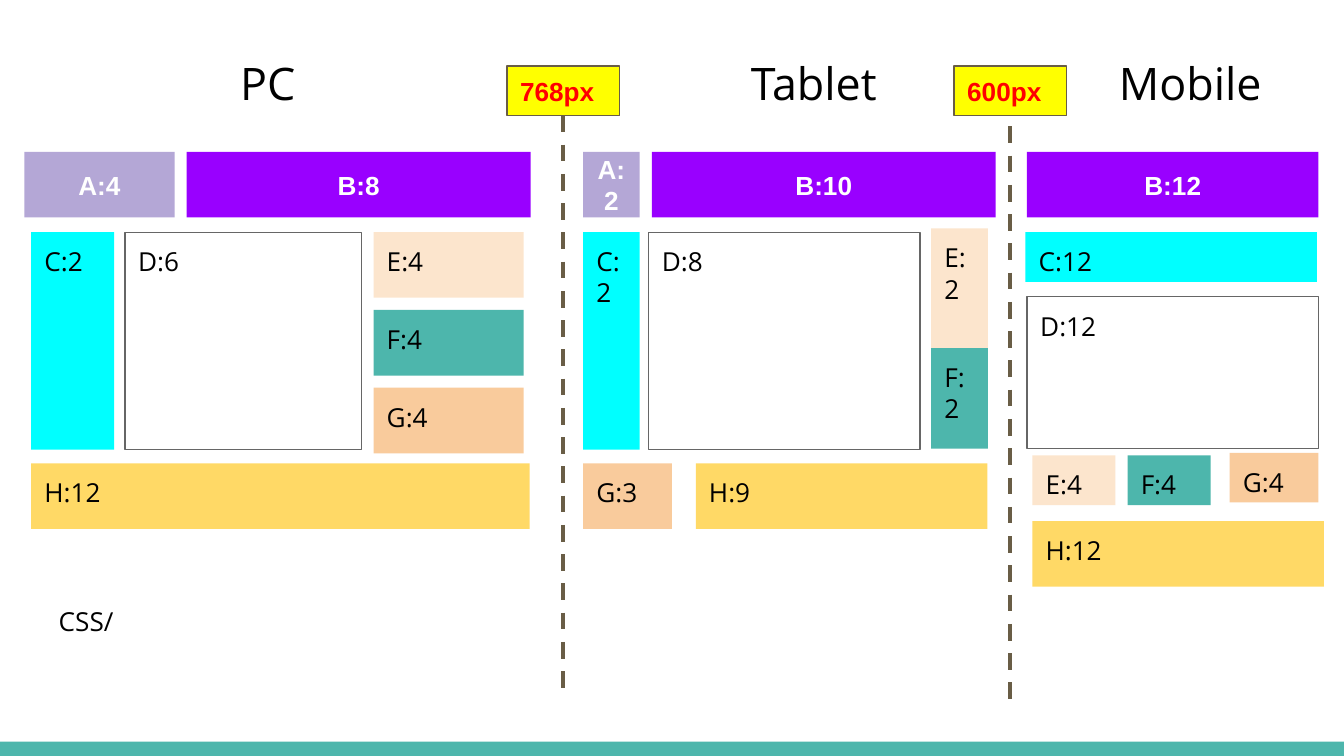
from lxml.etree import SubElement
from pptx import Presentation
from pptx.dml.color import RGBColor
from pptx.enum.dml import MSO_LINE
from pptx.enum.shapes import MSO_CONNECTOR, MSO_SHAPE
from pptx.enum.text import MSO_ANCHOR, PP_ALIGN
from pptx.oxml.ns import qn
from pptx.util import Cm, Pt

INSET = 0.25
ROW = 1.24  # height of a standard grid row
HEADING_HEIGHT = 1.6
HEADER_TOP, MAIN_TOP, FOOTER_TOP = 2.06, 3.58, 7.95  # below the region top
MAIN_HEIGHT = 4.11
SIDE_STEP = 1.47
BLOCK_FILLS = {
    "A": "B4A7D6", "B": "9900FF", "C": "00FFFF", "D": None,
    "E": "FCE5CD", "F": "4DB6AC", "G": "F9CB9C", "H": "FFD966",
}

# Each block: label, left, top, width, height in cm, relative to its region
PC_BLOCKS = [
    ("A:4", 0, HEADER_TOP, 2.84, ROW),
    ("B:8", 3.07, HEADER_TOP, 6.5, ROW),
    ("C:2", 0.13, MAIN_TOP, 1.57, MAIN_HEIGHT),
    ("D:6", 1.9, MAIN_TOP, 4.47, MAIN_HEIGHT),
    *[(label, 6.6, MAIN_TOP + i * SIDE_STEP, 2.84, ROW)
      for i, label in enumerate(("E:4", "F:4", "G:4"))],
    ("H:12", 0.13, FOOTER_TOP, 9.42, ROW),
]
TABLET_BLOCKS = [
    ("A:2", 0, HEADER_TOP, 1.07, ROW),
    ("B:10", 1.3, HEADER_TOP, 6.5, ROW),
    ("C:2", 0, MAIN_TOP, 1.07, MAIN_HEIGHT),
    ("D:8", 1.24, MAIN_TOP, 5.13, MAIN_HEIGHT),
    ("E:2", 6.58, 3.51, 1.07, 2.26),
    ("F:2", 6.58, 5.77, 1.07, 1.9),
    ("G:3", 0, FOOTER_TOP, 1.68, ROW),
    ("H:9", 2.13, FOOTER_TOP, 5.51, ROW),
]
MOBILE_BLOCKS = [
    ("B:12", 0.03, HEADER_TOP, 5.51, ROW),
    ("C:12", 0, MAIN_TOP, 5.51, 0.94),
    ("D:12", 0.03, 4.8, 5.51, 2.87),
    ("E:4", 0.13, 7.8, 1.57, 0.94),
    ("F:4", 1.93, 7.8, 1.57, 0.94),
    ("G:4", 3.86, 7.75, 1.68, 0.94),
    ("H:12", 0.13, 9.04, 5.51, ROW),
]


def rgb(color):
    return RGBColor.from_string(color)


def write(shape, text, size=14, font="Open Sans", color="000000", bold=False,
          align=PP_ALIGN.LEFT, anchor=MSO_ANCHOR.TOP):
    frame = shape.text_frame
    frame.word_wrap = True
    frame.vertical_anchor = anchor
    frame.margin_left = frame.margin_right = Cm(INSET)
    frame.margin_top = frame.margin_bottom = Cm(INSET)
    frame.text = text
    paragraph = frame.paragraphs[0]
    paragraph.alignment = align
    for run in paragraph.runs:
        run.font.size = Pt(size)
        run.font.name = font
        run.font.bold = bold
        run.font.color.rgb = rgb(color)


def add_rectangle(slide, left, top, width, height, fill=None, outline=None):
    rectangle = slide.shapes.add_shape(
        MSO_SHAPE.RECTANGLE, Cm(left), Cm(top), Cm(width), Cm(height))
    rectangle.shadow.inherit = False
    if fill:
        rectangle.fill.solid()
        rectangle.fill.fore_color.rgb = rgb(fill)
    else:
        rectangle.fill.background()
    if outline:
        rectangle.line.color.rgb = rgb(outline)
        rectangle.line.width = Pt(0.75)
    else:
        rectangle.line.fill.background()
    return rectangle


def add_caption(slide, left, top, width, height, text, **style):
    caption = slide.shapes.add_textbox(Cm(left), Cm(top), Cm(width), Cm(height))
    write(caption, text, **style)


def add_breakpoint(slide, left, top, width, height, label, line_top, line_length):
    """Place a dashed divider under the middle of its width label."""
    middle = Cm(left + width / 2)
    divider = slide.shapes.add_connector(
        MSO_CONNECTOR.STRAIGHT, middle, Cm(line_top), middle, Cm(line_top + line_length))
    divider.line.color.rgb = rgb("695D46")
    divider.line.width = Pt(2.25)
    divider.line.dash_style = MSO_LINE.DASH
    SubElement(divider._element.spPr, qn("a:effectLst"))
    tag = add_rectangle(slide, left, top, width, height, "FFFF00", "695D46")
    write(tag, label, font="Arial", color="FF0000", bold=True, anchor=MSO_ANCHOR.MIDDLE)


def add_device_layout(slide, left, top, heading, heading_left, heading_width, blocks):
    """Place a device heading and its grid blocks from the region's corner."""
    add_caption(slide, left + heading_left, top, heading_width, HEADING_HEIGHT,
                heading, size=24, align=PP_ALIGN.CENTER)
    for label, x, y, width, height in blocks:
        fill = BLOCK_FILLS[label[0]]
        block = add_rectangle(slide, left + x, top + y, width, height,
                              fill, None if fill else "666666")
        if label[0] in "AB":
            write(block, label, font="Arial", color="FFFFFF", bold=True,
                  align=PP_ALIGN.CENTER, anchor=MSO_ANCHOR.MIDDLE)
        else:
            write(block, label)


def main():
    presentation = Presentation()
    presentation.slide_width = Cm(25.4)
    presentation.slide_height = Cm(14.29)
    slide = presentation.slides.add_slide(presentation.slide_layouts[6])

    add_rectangle(slide, 0, 14.02, 25.4, 0.27, "4DB6AC")
    add_breakpoint(slide, 9.58, 1.25, 2.13, 0.94, "768px", 2.18, 10.82)
    add_breakpoint(slide, 18.03, 1.25, 2.13, 0.94, "600px", 2.39, 10.82)
    add_device_layout(slide, 0.46, 0.81, "PC", 3.18, 2.84, PC_BLOCKS)
    add_device_layout(slide, 11.02, 0.81, "Tablet", 2.34, 4.04, TABLET_BLOCKS)
    add_device_layout(slide, 19.38, 0.81, "Mobile", 1.4, 3.43, MOBILE_BLOCKS)
    add_caption(slide, 0.86, 11.2, 9.04, 1.9, "CSS/")

    presentation.save("out.pptx")


if __name__ == "__main__":
    main()
